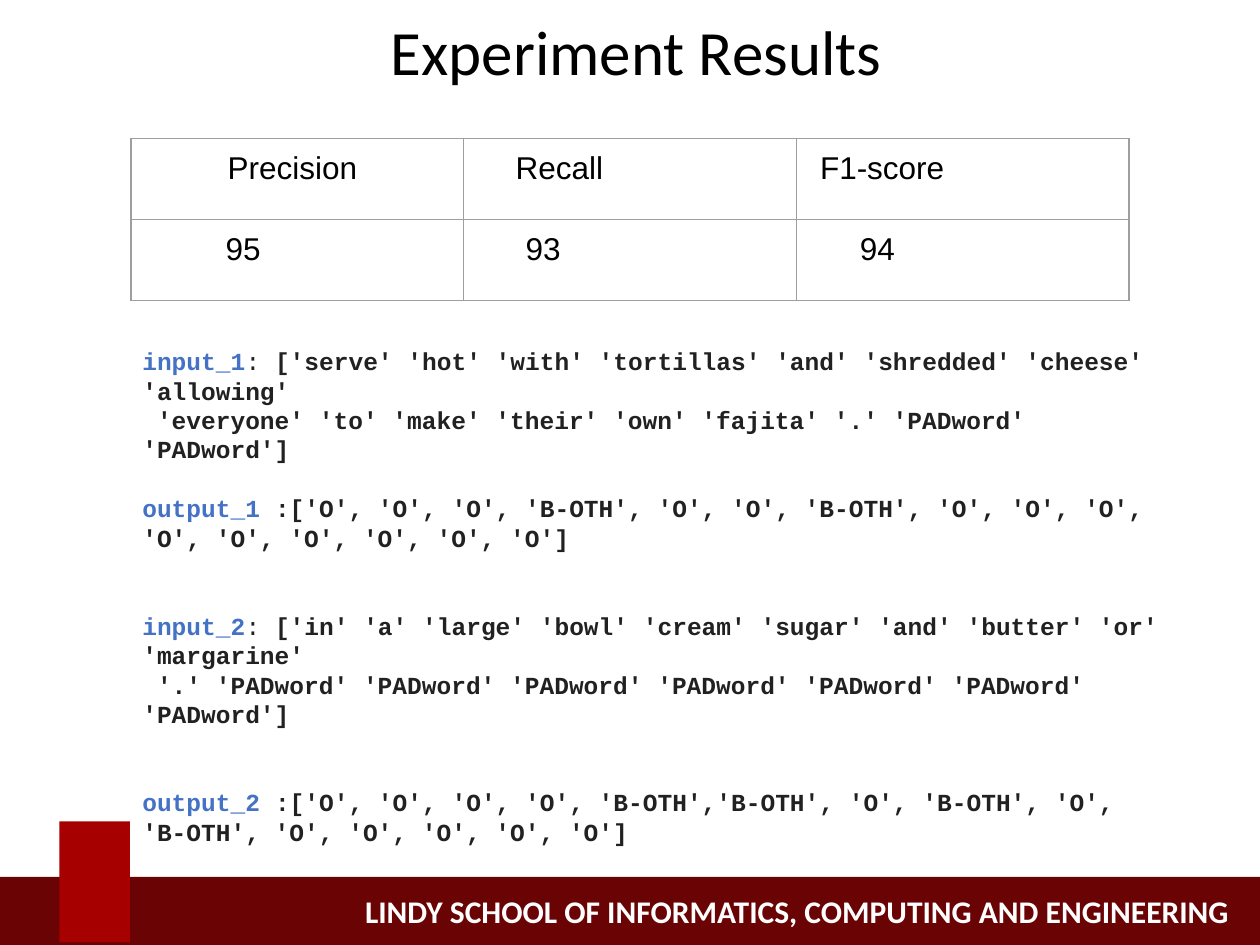
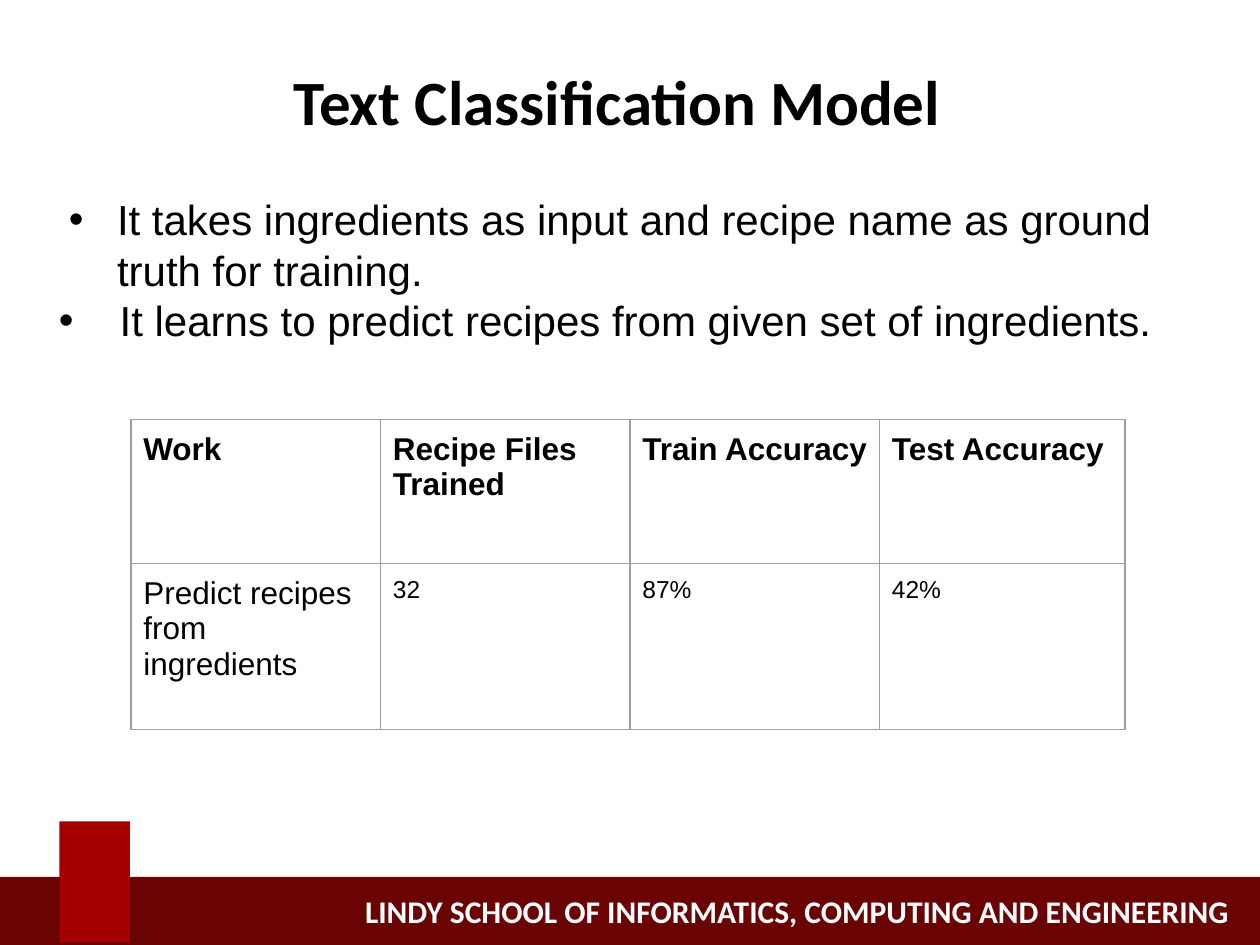
from lxml import etree
from pptx import Presentation
from pptx.dml.color import RGBColor
from pptx.enum.shapes import MSO_SHAPE
from pptx.enum.text import MSO_ANCHOR, PP_ALIGN
from pptx.oxml.ns import qn
from pptx.util import Cm, Pt

RECTANGLE = MSO_SHAPE.RECTANGLE
BOTTOM = MSO_ANCHOR.BOTTOM
CENTER = PP_ALIGN.CENTER

BLACK, WHITE = "000000", "FFFFFF"
DARK_RED, RED = "690304", "A70000"
LABEL_BLUE, CODE_GREY, BORDER_GREY = "4472C4", "212121", "9E9E9E"
HEADING_FONT, BODY_FONT, CODE_FONT = "Calibri", "Arial", "Courier New"

PAGE_WIDTH, PAGE_HEIGHT = 25.4, 19.05
FOOTER_TEXT = "LINDY SCHOOL OF INFORMATICS, COMPUTING AND ENGINEERING"
CELL_MARGIN = 0.25
CODE_LINE = 16.8

SCORES = [
    [("Precision", 1.95), ("Recall", 1.05), ("F1-score", 0.48)],
    [("95", 1.91), ("93", 1.25), ("94", 1.28)],
]

SAMPLES = [
    (0, "input_1", ": ",
     "['serve' 'hot' 'with' 'tortillas' 'and' 'shredded' 'cheese' 'allowing'"),
    (0, "", "", " 'everyone' 'to' 'make' 'their' 'own' 'fajita' '.' 'PADword' 'PADword']"),
    (1, "output_1", " ",
     ":['O', 'O', 'O', 'B-OTH', 'O', 'O', 'B-OTH', 'O', 'O', 'O', "
     "'O', 'O', 'O', 'O', 'O', 'O']"),
    (2, "input_2", ": ",
     "['in' 'a' 'large' 'bowl' 'cream' 'sugar' 'and' 'butter' 'or' 'margarine'"),
    (0, "", "", " '.' 'PADword' 'PADword' 'PADword' 'PADword' 'PADword' 'PADword' 'PADword']"),
    (2, "output_2", " ",
     ":['O', 'O', 'O', 'O', 'B-OTH','B-OTH', 'O', 'B-OTH', 'O', "
     "'B-OTH', 'O', 'O', 'O', 'O', 'O']"),
]

BULLETS = [
    ("It takes ingredients as input and recipe name as ground truth for training.",
     1.17, -0.97),
    (" It learns to predict recipes from given set of ingredients.", 0.99, -0.99),
]

ACCURACY = [
    ["Work", "Recipe Files Trained", "Train Accuracy", "Test Accuracy"],
    ["Predict recipes\nfrom ingredients", "32", "87%", "42%"],
]


def color(hex_code):
    """Turn a hex string into a colour."""
    return RGBColor.from_string(hex_code)


def style_run(span, font, size, hex_code=BLACK, bold=False):
    """Set the typeface, size, colour and weight of a run."""
    span.font.name = font
    span.font.size = Pt(size)
    span.font.color.rgb = color(hex_code)
    span.font.bold = bold


def style_frame(frame, font, size, hex_code=BLACK, bold=False):
    """Style every run of a text frame alike."""
    for para in frame.paragraphs:
        for span in para.runs:
            style_run(span, font, size, hex_code, bold)


def add_text_box(shapes, box, margin=0.13):
    """Add a wrapping text box and return its frame."""
    frame = shapes.add_textbox(*(Cm(length) for length in box)).text_frame
    frame.word_wrap = True
    frame.margin_top = frame.margin_bottom = Cm(margin)
    return frame


def add_block(shapes, box, hex_code):
    """Add a plain filled rectangle."""
    block = shapes.add_shape(RECTANGLE, *(Cm(length) for length in box))
    block.shadow.inherit = False
    block.fill.solid()
    block.fill.fore_color.rgb = color(hex_code)
    block.line.fill.background()


def add_title(page, box, text, bold=False):
    """Add a centred title resting on the bottom of its box."""
    frame = add_text_box(page.shapes, box)
    frame.vertical_anchor = BOTTOM
    frame.text = text
    para = frame.paragraphs[0]
    para.alignment = CENTER
    para.line_spacing = 0.9
    style_frame(frame, HEADING_FONT, 36, bold=bold)


def add_footer(page, box):
    """Add the red band, its tab and the school name."""
    left, top, width, height = box
    shapes = page.shapes.add_group_shape().shapes
    add_block(shapes, box, DARK_RED)
    add_block(shapes, (left + 1.2, top - 1.12, 1.42, 2.44), RED)
    frame = add_text_box(shapes, (left + 7.11, top + 0.18, width - 6.86, height - 0.36))
    frame.text = FOOTER_TEXT
    style_frame(frame, HEADING_FONT, 18, WHITE, True)


def draw_borders(cell):
    """Give a cell thin grey lines on its four sides."""
    properties = cell._tc.get_or_add_tcPr()
    for side in ("a:lnL", "a:lnR", "a:lnT", "a:lnB"):
        line = etree.SubElement(properties, qn(side), w=str(Pt(0.75)))
        fill = etree.SubElement(line, qn("a:solidFill"))
        etree.SubElement(fill, qn("a:srgbClr"), val=BORDER_GREY)


def add_grid(page, box, column_widths, row_heights):
    """Add an unfilled, bordered table."""
    grid = page.shapes.add_table(len(row_heights), len(column_widths),
                                 *(Cm(length) for length in box)).table
    grid.first_row = grid.horz_banding = False
    for column, width in zip(grid.columns, column_widths):
        column.width = Cm(width)
    for row, height in zip(grid.rows, row_heights):
        row.height = Cm(height)
    for cell in grid.iter_cells():
        draw_borders(cell)
        cell.fill.background()
        cell.margin_left = cell.margin_right = Cm(CELL_MARGIN)
        cell.margin_top = cell.margin_bottom = Cm(CELL_MARGIN)
    return grid


def add_score_table(page, box):
    """Add the precision, recall and F1 scores."""
    width, height = box[2:]
    grid = add_grid(page, box, [width / 3] * 3, [height / 2] * 2)
    for row, scores in enumerate(SCORES):
        for column, (text, indent) in enumerate(scores):
            cell = grid.cell(row, column)
            cell.margin_left = Cm(indent)
            cell.text_frame.text = text
            style_frame(cell.text_frame, BODY_FONT, 18)


def add_samples(page, box):
    """Add the tagged input and output sequences."""
    frame = add_text_box(page.shapes, box, CELL_MARGIN)
    for index, (gap_lines, label, separator, tokens) in enumerate(SAMPLES):
        para = frame.add_paragraph() if index else frame.paragraphs[0]
        para.line_spacing = Pt(CODE_LINE)
        para.space_before = Pt(gap_lines * CODE_LINE)
        parts = ((label, LABEL_BLUE, True), (separator, CODE_GREY, False),
                 (tokens, CODE_GREY, True))
        for text, hex_code, bold in parts:
            if text:
                span = para.add_run()
                span.text = text
                style_run(span, CODE_FONT, 14, hex_code, bold)


def add_bullets(page, box):
    """Add the bulleted description of the model."""
    frame = add_text_box(page.shapes, box)
    frame.text = "\n".join(text for text, _, _ in BULLETS)
    style_frame(frame, BODY_FONT, 24)
    for para, (_, margin, indent) in zip(frame.paragraphs, BULLETS):
        para.line_spacing = Pt(28.8)
        properties = para._p.get_or_add_pPr()
        properties.set("marL", str(Cm(margin)))
        properties.set("indent", str(Cm(indent)))
        etree.SubElement(properties, qn("a:buFont"), typeface=BODY_FONT)
        etree.SubElement(properties, qn("a:buChar"), char="•")


def add_accuracy_table(page, box):
    """Add the training and test accuracy."""
    width, height = box[2:]
    grid = add_grid(page, box, [5.03] * 3 + [width - 3 * 5.03], [2.9, height - 2.9])
    for row, texts in enumerate(ACCURACY):
        for column, text in enumerate(texts):
            frame = grid.cell(row, column).text_frame
            frame.text = text
            size = 14 if row and column else 18
            style_frame(frame, BODY_FONT, size, bold=row == 0)


def build_results_page(page):
    """Fill the slide of experiment results."""
    add_title(page, (2.03, 0.58, 21.59, 1.35), "Experiment Results")
    add_score_table(page, (2.64, 2.79, 20.12, 3.26))
    add_samples(page, (2.62, 6.73, 21.11, 10.64))


def build_model_page(page):
    """Fill the slide on the text classification model."""
    add_title(page, (1.9, 0.97, 21.08, 1.96), "Text Classification Model", True)
    add_bullets(page, (0.94, 3.78, 22.78, 14.15))
    add_accuracy_table(page, (2.64, 8.46, 20.04, 6.25))


def main():
    """Build and save the deck."""
    deck = Presentation()
    deck.slide_width, deck.slide_height = Cm(PAGE_WIDTH), Cm(PAGE_HEIGHT)
    for build_page in (build_results_page, build_model_page):
        page = deck.slides.add_slide(deck.slide_layouts[6])
        build_page(page)
        add_footer(page, (0, 17.68, PAGE_WIDTH, 1.37))
    deck.save("out.pptx")


if __name__ == "__main__":
    main()
